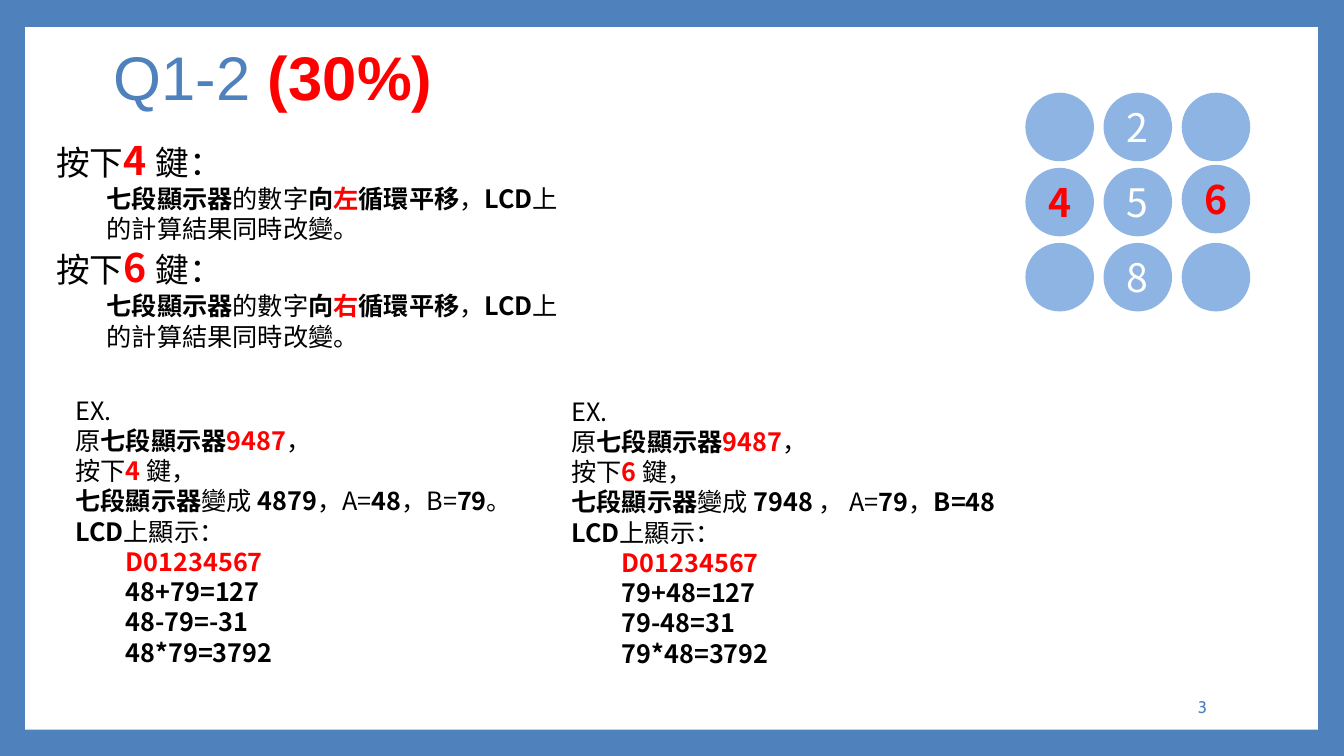
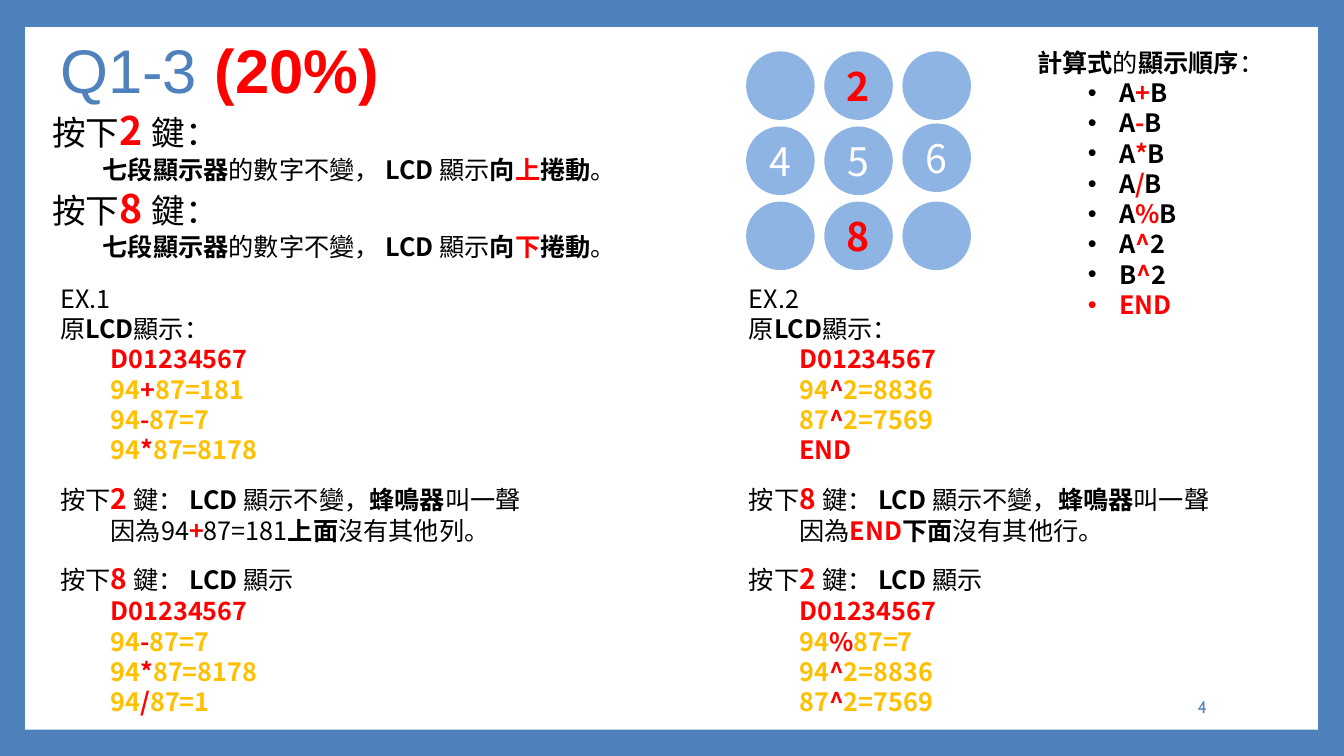
from collections import namedtuple
from dataclasses import dataclass
from functools import partial

from lxml.etree import SubElement
from pptx import Presentation
from pptx.dml.color import RGBColor as RGB
from pptx.enum.shapes import MSO_SHAPE as Shape
from pptx.enum.text import MSO_ANCHOR as Anchor, PP_ALIGN as Align
from pptx.oxml.ns import qn
from pptx.util import Inches, Pt


@dataclass(frozen=True)
class Theme:
    frame: RGB = RGB(0x4F, 0x81, 0xBD)
    key: RGB = RGB(0x8E, 0xB4, 0xE3)
    paper: RGB = RGB(0xFF, 0xFF, 0xFF)
    ink: RGB = RGB(0, 0, 0)
    red: RGB = RGB(0xFF, 0, 0)
    gold: RGB = RGB(0xFF, 0xC0, 0)
    title_font: str = "Arial"
    body_font: str = "Noto Sans CJK TC"
    number_font: str = "Cabin"
    title: int = 44
    digit: int = 28
    heading: int = 24
    press: int = 20
    body: int = 18
    number: int = 12


THEME = Theme()
Box = namedtuple("Box", "left top width height")
Run = namedtuple("Run", "text bold color size font",
                 defaults=(False, THEME.ink, THEME.body, THEME.body_font))
Line = namedtuple("Line", "runs indent before bullet", defaults=(0, 0, False))

bold = partial(Run, bold=True)
red = partial(Run, bold=True, color=THEME.red)
DEVICE = bold("七段顯示器")
LCD = bold("LCD")
STEP = 0.5
BULLET_INDENT, BULLET_HANG = 0.81, 0.31


def line(*runs, **options):
    return Line([Run(r) if isinstance(r, str) else r for r in runs], **options)


step = partial(line, indent=STEP)
item = partial(line, indent=BULLET_INDENT, bullet=True)
HEADER = step(red("D01234567"))


def formula(text, color):
    at = next(i for i, c in enumerate(text) if not c.isalnum())
    operand = partial(bold, color=color)
    return operand(text[:at]), red(text[at]), operand(text[at + 1:])


def results(*texts):
    return [step(*formula(text, THEME.gold)) for text in texts]


def write_run(paragraph, run):
    target = paragraph.add_run()
    target.text = run.text
    font_format = {"name": run.font, "size": Pt(run.size), "bold": run.bold}
    for name, value in font_format.items():
        setattr(target.font, name, value)
    target.font.color.rgb = run.color
    SubElement(target.font._element, qn("a:ea"), typeface=run.font)


def write(frame, lines, **frame_format):
    for name, value in frame_format.items():
        setattr(frame, name, value)
    for i, content in enumerate(lines):
        paragraph = frame.add_paragraph() if i else frame.paragraphs[0]
        paragraph.space_before = Pt(content.before)
        properties = paragraph._p.get_or_add_pPr()
        properties.set("marL", str(Inches(content.indent)))
        if content.bullet:
            properties.set("indent", str(-Inches(BULLET_HANG)))
            SubElement(properties, qn("a:buFont"), typeface="Arial")
            SubElement(properties, qn("a:buChar"), char="•")
        for run in content.runs:
            write_run(paragraph, run)
    return frame.paragraphs[0]


def add_text(slide, box, lines, **frame_format):
    frame = slide.shapes.add_textbox(*map(Inches, box)).text_frame
    return write(frame, lines, word_wrap=True, **frame_format)


def add_plain_shape(shapes, kind, box, color):
    shape = shapes.add_shape(kind, *map(Inches, box))
    shape.shadow.inherit = False
    shape.fill.solid()
    shape.fill.fore_color.rgb = color
    shape.line.fill.background()
    return shape


def add_page(deck, number, name, share, title_box):
    slide = deck.slides.add_slide(deck.slide_layouts[6])
    slide.background.fill.solid()
    slide.background.fill.fore_color.rgb = THEME.frame
    add_plain_shape(slide.shapes, Shape.RECTANGLE,
                    Box(0.25, 0.27, 12.82, 6.97), THEME.paper)
    styled = partial(Run, size=THEME.title, font=THEME.title_font)
    title = line(styled(name + " ", color=THEME.frame),
                 styled(share, bold=True, color=THEME.red))
    add_text(slide, title_box, [title],
             vertical_anchor=Anchor.MIDDLE).line_spacing = 0.9
    page_number = Run(str(number), False, THEME.frame, THEME.number,
                      THEME.number_font)
    add_text(slide, Box(10.2, 6.81, 1.87, 0.4), [line(page_number)],
             vertical_anchor=Anchor.MIDDLE).alignment = Align.RIGHT
    return slide


def add_keypad(slide, left, top, active):
    pad = Box(left, top, 2.23, 2.17)
    size, lift = 0.68, {"6": 0.03}
    pitch_x, pitch_y = (pad.width - size) / 2, (pad.height - size) / 2
    keys = slide.shapes.add_group_shape().shapes
    for i, label in enumerate([" ", "2", " ", "4", "5", "6", " ", "8", " "]):
        row, column = divmod(i, 3)
        box = Box(pad.left + column * pitch_x,
                  pad.top + row * pitch_y - lift.get(label, 0), size, size)
        key = add_plain_shape(keys, Shape.OVAL, box, THEME.key)
        if label.strip():
            pressed = label in active
            digit = Run(label, pressed, THEME.red if pressed else THEME.paper,
                        THEME.digit)
            write(key.text_frame, [line(digit)], word_wrap=False,
                  vertical_anchor=Anchor.MIDDLE).alignment = Align.CENTER


def add_rules(slide, box, rules):
    heading = partial(Run, size=THEME.heading)
    lines = []
    for key, effect in rules:
        lines += [line(heading("按下"), red(key + " ", size=THEME.digit),
                       heading("鍵：")),
                  step(DEVICE, *effect)]
    add_text(slide, box, lines)


def add_shift_example(slide, box, key, a, b, operands):
    sums = [f"{a}+{b}={a + b}", f"{a}-{b}={a - b}", f"{a}*{b}={a * b}"]
    add_text(slide, box, [
        line("EX."),
        line("原", DEVICE, red("9487"), "，"),
        line("按下", red(key + " "), "鍵，"),
        line(DEVICE, "變成 ", bold(f"{a}{b}"), *operands),
        line(LCD, "上顯示："),
        HEADER,
        *(step(bold(text)) for text in sums)])


def add_scroll_example(slide, box, name, shown, edge_key, reason, back_key,
                       scrolled):
    def press(key, *outcome):
        return line("按下", red(key + " ", size=THEME.press), "鍵： ", LCD,
                    *outcome, before=12)

    add_text(slide, box, [
        line(name),
        line("原", LCD, "顯示："),
        HEADER, *shown,
        press(edge_key, " 顯示不變，", bold("蜂鳴器"), "叫一聲"),
        step("因為", *reason),
        press(back_key, " 顯示"),
        HEADER, *scrolled])


def add_order(slide, box):
    orders = ["A+B", "A-B", "A*B", "A/B", "A%B", "A^2", "B^2"]
    add_text(slide, box, [
        line(bold("計算式"), "的", bold("顯示順序"), "："),
        *(item(*formula(text, THEME.ink)) for text in orders),
        item(red("END"))])


def build_shift_page(deck):
    slide = add_page(deck, 3, "Q1-2", "(30%)", Box(1.03, 0.06, 10.8, 1.48))
    add_keypad(slide, 10.17, 0.92, "46")
    add_rules(slide, Box(0.46, 1.3, 5.31, 2.32), [
        (key, ["的數字", bold("向"), red(side), bold("循環平移"), "，", LCD,
               "上的計算結果同時改變。"])
        for key, side in (("4", "左"), ("6", "右"))])
    add_shift_example(slide, Box(0.65, 3.87, 5.45, 2.83), "4", 48, 79,
                      ["，A=", bold("48"), "，B=", bold("79"), "。"])
    add_shift_example(slide, Box(5.57, 3.88, 5.45, 2.83), "6", 79, 48,
                      [" ， A=", bold("79"), "，", bold("B=48")])


def build_scroll_page(deck):
    slide = add_page(deck, 4, "Q1-3", "(20%)", Box(0.5, 0.27, 10.8, 0.91))
    add_keypad(slide, 7.4, 0.51, "28")
    add_rules(slide, Box(0.42, 1.01, 5.71, 1.65), [
        (key, ["的數字不變， ", LCD, " 顯示", bold("向"), red(side),
               bold("捲動"), "。"])
        for key, side in (("2", "上"), ("8", "下"))])
    add_scroll_example(
        slide, Box(0.5, 2.76, 6.16, 4.44), "EX.1",
        results("94+87=181", "94-87=7", "94*87=8178"),
        "2", ["94", red("+"), "87=181", bold("上面"), "沒有其他列。"],
        "8", results("94-87=7", "94*87=8178", "94/87=1"))
    add_order(slide, Box(10.19, 0.42, 2.88, 2.83))
    add_scroll_example(
        slide, Box(7.33, 2.76, 5.74, 4.44), "EX.2",
        results("94^2=8836", "87^2=7569") + [step(red("END"))],
        "8", [red("END"), bold("下面"), "沒有其他行。"],
        "2", results("94%87=7", "94^2=8836", "87^2=7569"))


def main():
    deck = Presentation()
    deck.slide_width, deck.slide_height = Inches(13.33), Inches(7.5)
    build_shift_page(deck)
    build_scroll_page(deck)
    deck.save("out.pptx")


if __name__ == "__main__":
    main()
